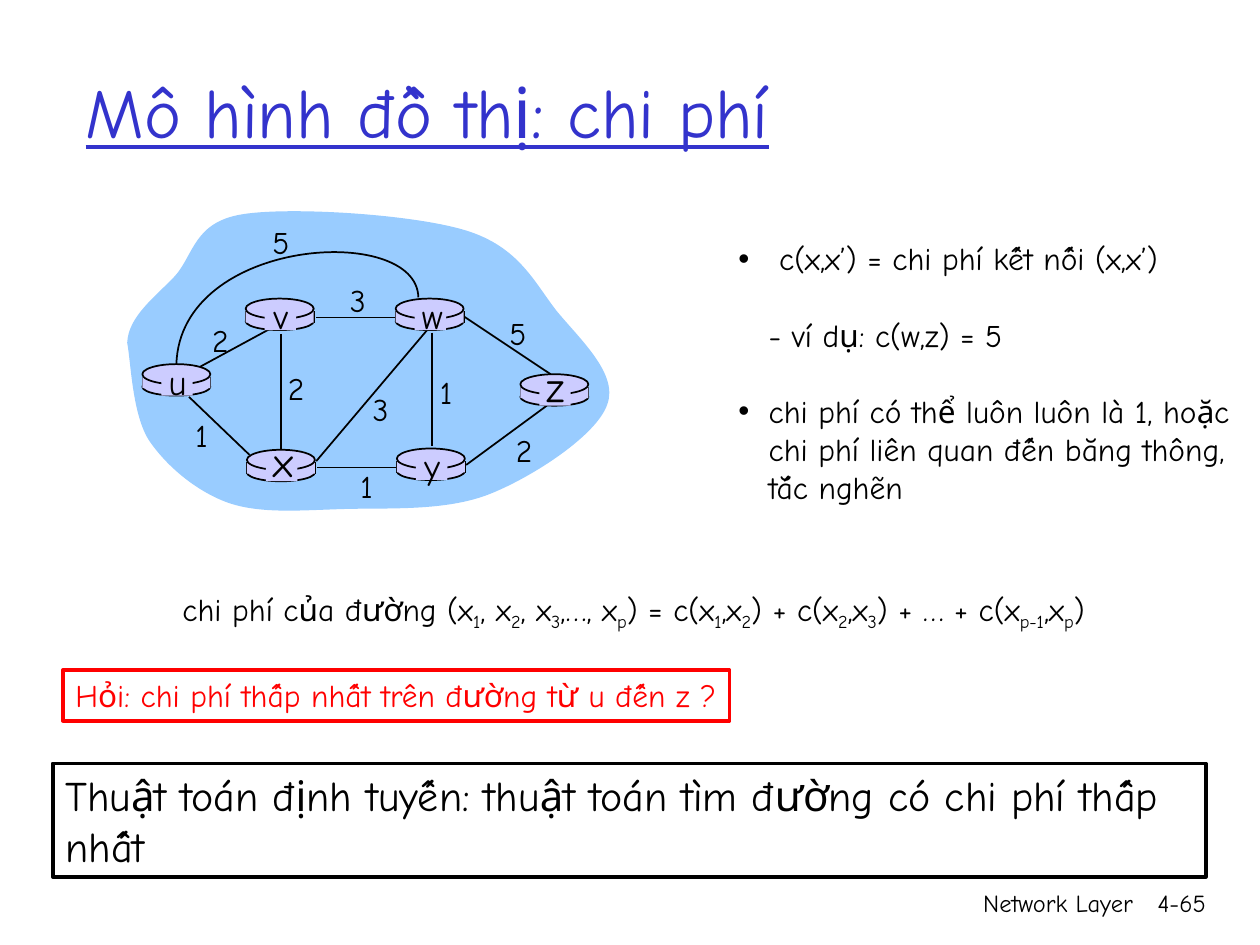
from dataclasses import dataclass

from lxml import etree
from pptx import Presentation
from pptx.dml.color import RGBColor
from pptx.enum.shapes import MSO_CONNECTOR, MSO_SHAPE
from pptx.enum.text import MSO_ANCHOR, MSO_AUTO_SIZE, PP_ALIGN
from pptx.oxml.ns import qn
from pptx.util import Inches, Pt

STRAIGHT = MSO_CONNECTOR.STRAIGHT
OVAL, RECT = MSO_SHAPE.OVAL, MSO_SHAPE.RECTANGLE
LEFT, CENTER, RIGHT = PP_ALIGN.LEFT, PP_ALIGN.CENTER, PP_ALIGN.RIGHT
TOP, MIDDLE = MSO_ANCHOR.TOP, MSO_ANCHOR.MIDDLE


@dataclass(frozen=True)
class Theme:
    font: str = "Comic Neue"
    ink: RGBColor = RGBColor(0, 0, 0)
    title: RGBColor = RGBColor(0x33, 0x33, 0xCC)
    alert: RGBColor = RGBColor(0xFF, 0, 0)
    cloud: RGBColor = RGBColor(0x99, 0xCC, 0xFF)
    router: RGBColor = RGBColor(0xCC, 0xCC, 0xFF)
    title_size: int = 40
    large: int = 24
    node: int = 20
    text: int = 18
    footer: int = 14


THEME = Theme()
ROUTER_W = 0.54

# name: left, top, type size of the letter
ROUTERS = {
    "u": (1.13, 2.89, THEME.node),
    "x": (1.96, 3.57, THEME.large),
    "v": (1.95, 2.37, THEME.node),
    "w": (3.14, 2.37, THEME.node),
    "y": (3.15, 3.56, THEME.node),
    "z": (4.13, 2.97, THEME.large),
}
# from x, y, to x, y, cost, centre of the cost label
LINKS = [
    (1.59, 2.91, 2.18, 2.59, "2", 1.75, 2.7),
    (2.23, 2.65, 2.23, 3.58, "2", 2.35, 3.08),
    (1.98, 3.61, 1.5, 3.15, "1", 1.6, 3.45),
    (2.51, 3.66, 3.39, 2.62, "3", 3.02, 3.25),
    (3.16, 3.71, 2.52, 3.71, "1", 2.91, 3.86),
    (3.43, 2.64, 3.43, 3.54, "1", 3.54, 3.11),
    (3.7, 3.69, 4.34, 3.22, "2", 4.16, 3.57),
    (4.37, 2.97, 3.68, 2.51, "5", 4.11, 2.64),
    (3.15, 2.52, 2.51, 2.52, "3", 2.84, 2.38),
]
CLOUD = [
    (1.01, 2.72), (1.02, 2.51), (1.23, 2.36), (1.39, 2.19),
    (1.54, 2.02), (1.54, 1.76), (1.93, 1.7), (2.31, 1.64), (3.28, 1.7), (3.7, 1.83),
    (4.12, 1.96), (4.24, 2.24), (4.42, 2.47), (4.61, 2.7), (4.91, 2.97), (4.82, 3.21),
    (4.74, 3.45), (4.24, 3.78), (3.89, 3.92), (3.54, 4.06), (3.08, 4.03), (2.73, 4.04),
    (2.39, 4.05), (2.07, 4.08), (1.81, 3.99), (1.56, 3.9), (1.32, 3.7), (1.18, 3.49),
    (1.05, 3.28), (1.04, 2.88), (1.01, 2.72),
]
U_TO_W = [(3.32, 2.36), (3.31, 1.77), (1.43, 1.88), (1.4, 2.89)]
FORMULA = ("chi phí của đường (x|1|, x|2|, x|3|,…, x|p|) = c(x|1|,x|2|)"
           " + c(x|2|,x|3|) + … + c(x|p-1|,x|p|)")


def format_runs(p, size, color=THEME.ink):
    for r in p.runs:
        r.font.name = THEME.font
        r.font.size = Pt(size)
        r.font.color.rgb = color


def set_text(sp, text, size, color=THEME.ink, align=LEFT, anchor=TOP, wrap=True):
    tf = sp.text_frame
    tf.text = text
    tf.word_wrap = wrap
    tf.vertical_anchor = anchor
    tf.paragraphs[0].alignment = align
    format_runs(tf.paragraphs[0], size, color)


def place(sp, *box):
    sp.left, sp.top, sp.width, sp.height = map(Inches, box)


def add_text(shapes, box, text, size, **options):
    sp = shapes.add_textbox(*map(Inches, box))
    set_text(sp, text, size, **options)
    return sp


def add_label(shapes, text, x, y, size):
    """Text centred on the point x, y."""
    w, h = 0.34, size / 50 + 0.04
    add_text(shapes, (x - w / 2, y - h / 2, w, h), text, size, align=CENTER, wrap=False)


def add_shape(shapes, kind, box, fill=None, line=None, width=1):
    sp = shapes.add_shape(kind, *map(Inches, box))
    return style(sp, fill, line, width)


def style(sp, fill=None, line=None, width=1):
    sp.shadow.inherit = False
    if fill is None:
        sp.fill.background()
    else:
        sp.fill.solid()
        sp.fill.fore_color.rgb = fill
    if line is None:
        sp.line.fill.background()
    else:
        sp.line.color.rgb = line
        sp.line.width = Pt(width)
    return sp


def add_line(shapes, x1, y1, x2, y2):
    line = shapes.add_connector(STRAIGHT, *map(Inches, (x1, y1, x2, y2)))
    line.line.color.rgb = THEME.ink
    line.line.width = Pt(1)
    etree.SubElement(line.element.spPr, qn("a:effectLst"))


def add_curve(shapes, points, fill=None, line=None, close=False):
    """Cubic curve: a start, then two control points and an end per segment."""
    start, *rest = [(x * 100, y * 100) for x, y in points]
    builder = shapes.build_freeform(*start, scale=Inches(0.01))
    builder.add_line_segments(rest, close=close)
    sp = style(builder.convert_to_shape(), fill, line)
    outline = next(sp.element.iter(qn("a:path")))
    steps = outline.findall(qn("a:lnTo"))
    for i in range(0, len(steps), 3):
        curve = etree.Element(qn("a:cubicBezTo"))
        steps[i].addprevious(curve)
        for step in steps[i:i + 3]:
            curve.append(step[0])
            outline.remove(step)


def add_router(shapes, name, x, y, size):
    group = shapes.add_group_shape().shapes
    add_shape(group, OVAL, (x, y + 0.11, ROUTER_W, 0.14), THEME.router, THEME.ink)
    for side in (x, x + ROUTER_W):
        add_line(group, side, y + 0.1, side, y + 0.19)
    add_shape(group, RECT, (x, y + 0.1, ROUTER_W, 0.09), THEME.router)
    add_shape(group, OVAL, (x, y, ROUTER_W, 0.16), THEME.router, THEME.ink)
    add_shape(group, RECT, (x + 0.15, y + 0.02, 0.25, 0.23), THEME.router)
    add_label(group, name, x + 0.28, y + (0.14 if size == THEME.node else 0.1), size)


def add_network(shapes):
    add_curve(shapes, CLOUD, fill=THEME.cloud, close=True)
    for *ends, _, _, _ in LINKS:
        add_line(shapes, *ends)
    add_curve(shapes, U_TO_W, line=THEME.ink)
    for name, router in ROUTERS.items():
        add_router(shapes, name, *router)
    for *_, cost, x, y in LINKS:
        add_label(shapes, cost, x, y, THEME.text)
    add_label(shapes, "5", 2.23, 1.92, THEME.text)


def fill_title(sp):
    place(sp, 0.58, 0.25, 8.5, 1.25)
    set_text(sp, "Mô hình đồ thị: chi phí", THEME.title_size, THEME.title, anchor=MIDDLE)
    sp.text_frame.paragraphs[0].runs[0].font.underline = True


def fill_body(sp):
    place(sp, 5.76, 1.85, 4.24, 2.2)
    items = [
        (" c(x,x’) = chi phí kết nối (x,x’)", True),
        ("- ví dụ: c(w,z) = 5", False),
        ("chi phí có thể luôn luôn là 1, hoặc chi phí liên quan đến băng thông, tắc nghẽn", True),
    ]
    tf = sp.text_frame
    tf.text = "\n".join(text for text, _ in items)
    tf.word_wrap = True
    tf.auto_size = MSO_AUTO_SIZE.NONE
    for i, (p, (_, bulleted)) in enumerate(zip(tf.paragraphs, items)):
        p.space_before = Pt(22 if i else 0)
        format_runs(p, THEME.text)
        pPr = p._p.get_or_add_pPr()
        pPr.set("marL", str(Inches(0.24)))
        pPr.set("indent", str(Inches(-0.24) if bulleted else 0))
        if bulleted:
            etree.SubElement(pPr, qn("a:buChar"), char="•")
        else:
            etree.SubElement(pPr, qn("a:buNone"))


def add_formula(shapes):
    sp = add_text(shapes, (1.35, 4.63, 7.53, 0.44), "", THEME.text, wrap=False)
    p = sp.text_frame.paragraphs[0]
    for i, part in enumerate(FORMULA.split("|")):
        r = p.add_run()
        r.text = part
        if i % 2:
            r.font._element.set("baseline", "-25000")
    format_runs(p, THEME.text)


def add_framed_text(shapes, box, text, size, color):
    sp = add_shape(shapes, RECT, box, line=color, width=2.25)
    set_text(sp, text, size, color)


def main():
    prs = Presentation()
    prs.slide_width, prs.slide_height = Inches(10), Inches(7.5)
    slide = prs.slides.add_slide(prs.slide_layouts[1])
    shapes = slide.shapes
    fill_title(shapes.title)
    fill_body(slide.placeholders[1])
    add_network(shapes)
    add_formula(shapes)
    add_framed_text(shapes, (0.5, 5.32, 5.29, 0.4),
                    "Hỏi: chi phí thấp nhất trên đường từ u đến z ?", THEME.text, THEME.alert)
    add_framed_text(shapes, (0.42, 6.06, 9.15, 0.9),
                    "Thuật toán định tuyến: thuật toán tìm đường có chi phí thấp nhất",
                    THEME.large, THEME.ink)
    add_text(shapes, (5.92, 7, 3.17, 0.5), "Network Layer", THEME.footer, align=RIGHT)
    add_text(shapes, (8.93, 7, 0.74, 0.5), "4-65", THEME.footer, align=RIGHT)
    prs.save("out.pptx")


if __name__ == "__main__":
    main()
